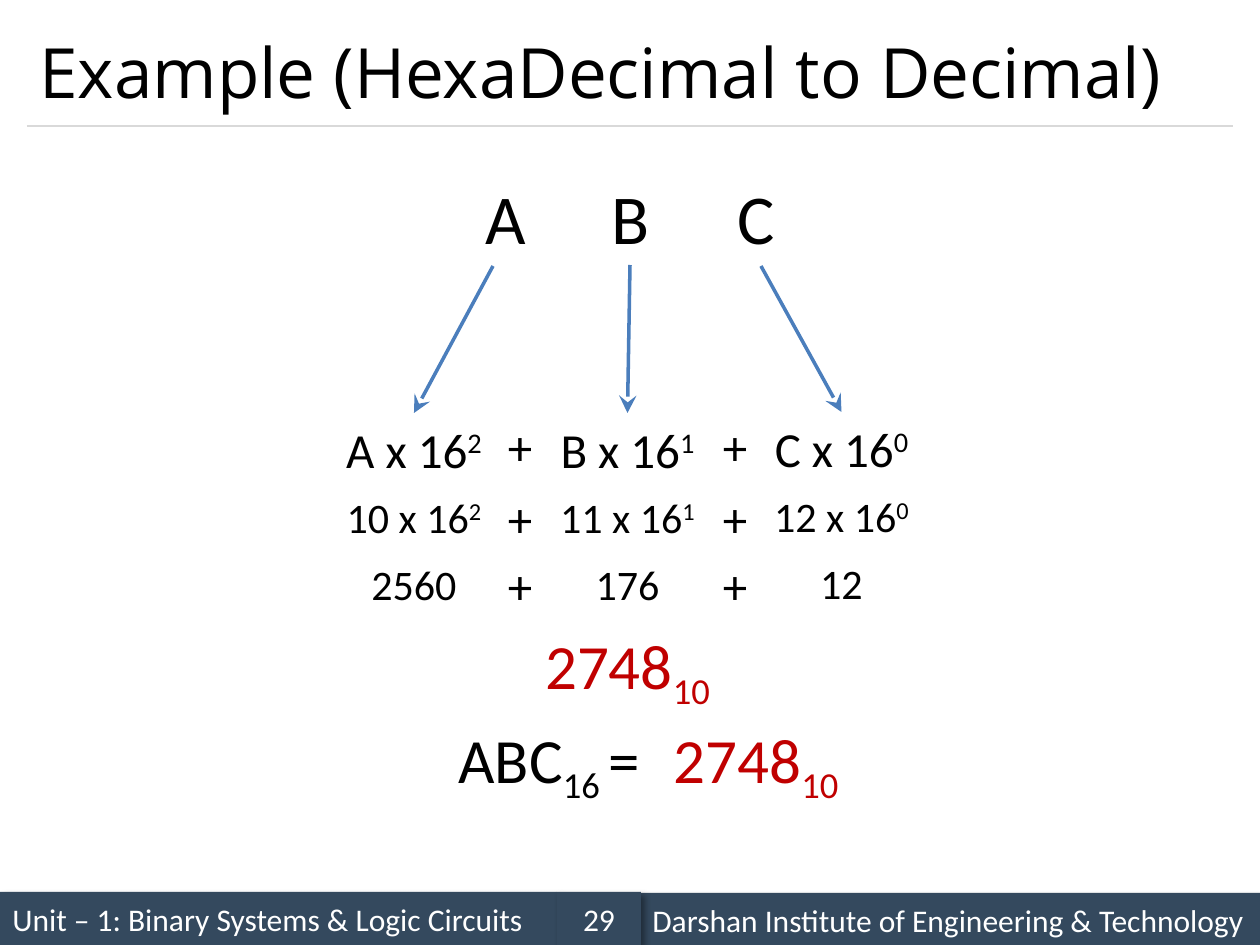
import pptx
import pptx.util
import pptx.dml.color
import pptx.enum.shapes
import pptx.enum.text
import pptx.oxml
import lxml.etree

PX = 914400 / 126
NS = "http://schemas.openxmlformats.org/drawingml/2006/main"
ALIGN = pptx.enum.text.PP_ALIGN
BLACK, RED, WHITE, NAVY = "000000", "C00000", "FFFFFF", "34495E"
color = pptx.dml.color.RGBColor.from_string


def write(shape, pieces, size, ink=BLACK, align=ALIGN.CENTER, font="Calibri"):
    frame = shape.text_frame
    frame.word_wrap = True
    line = frame.paragraphs[0]
    line.alignment = align
    for text, baseline in pieces:
        run = line.add_run()
        run.text = text
        if baseline:
            run.font._element.set("baseline", str(baseline * 1000))
    line.font.name = font
    line.font.size = pptx.util.Pt(size)
    line.font.color.rgb = color(ink)
    return shape


def emu(*lengths):
    return [round(length * PX) for length in lengths]


deck = pptx.Presentation()
deck.slide_width, deck.slide_height = emu(1260, 945)
slide = deck.slides.add_slide(deck.slide_layouts[6])
shapes = slide.shapes

footer = [
    (0, 892, 557, "Unit – 1: Binary Systems & Logic Circuits", ALIGN.LEFT),
    (640, 893, 620, "Darshan Institute of Engineering & Technology", ALIGN.LEFT),
    (557, 892, 84, "29", ALIGN.CENTER),
]
for left, top, width, text, align in footer:
    band = shapes.add_shape(pptx.enum.shapes.MSO_SHAPE.RECTANGLE, *emu(left, top, width, 53))
    band.fill.solid()
    band.fill.fore_color.rgb = color(NAVY)
    band.line.fill.background()
    band.shadow.inherit = False
    effects = band._element.spPr.find(f"{{{NS}}}effectLst")
    effects.append(pptx.oxml.parse_xml(
        f'<a:outerShdw xmlns:a="{NS}" blurRad="50800" dist="38100" dir="2700000" algn="tl" rotWithShape="0">'
        '<a:srgbClr val="000000"><a:alpha val="40000"/></a:srgbClr></a:outerShdw>'))
    band.text_frame.vertical_anchor = pptx.enum.text.MSO_ANCHOR.MIDDLE
    write(band, [(text, 0)], 18, WHITE, align)

title = shapes.add_textbox(*emu(27, 15, 1206, 111))
title.text_frame.vertical_anchor = pptx.enum.text.MSO_ANCHOR.MIDDLE
write(title, [("Example (HexaDecimal to Decimal)", 0)], 39.6, align=ALIGN.LEFT, font="Open Sans")

digits = shapes.add_textbox(*emu(27, 168, 1206, 97))
digit_format = digits.text_frame.paragraphs[0]._p.get_or_add_pPr()
digit_stops = lxml.etree.SubElement(digit_format, f"{{{NS}}}tabLst")
for stop in emu(126, 252):
    lxml.etree.SubElement(digit_stops, f"{{{NS}}}tab", pos=str(stop), algn="l")
write(digits, [("A\tB\tC", 0)], 40)

columns = [
    (329, 413, 170, "2", ["A x 16", "10 x 16", "2560"]),
    (546, 413, 163, "1", ["B x 16", "11 x 16", "176"]),
    (759, 412, 165, "0", ["C x 16", "12 x 16", "12"]),
]
rows = [(0, 72, 28), (72, 63, 24), (139, 63, 24)]
products = []
for left, top, width, power, terms in columns:
    for (offset, height, size), term in zip(rows, terms):
        pieces = [(term, 0)]
        if "x" in term:
            pieces.append((power, 30))
        term_box = shapes.add_textbox(*emu(left, top + offset, width, height))
        write(term_box, pieces, size)
        if offset == 0:
            products.append(term_box)

for offset, height, size in rows:
    for left in (494, 709):
        write(shapes.add_textbox(*emu(left, 410 + offset, 52, 72)), [("+", 0)], 28)

decimal = [("2748", 0), ("10", -25)]
write(shapes.add_textbox(*emu(525, 620, 205, 89)), decimal, 36, RED)
write(shapes.add_textbox(*emu(437, 714, 224, 89)), [("ABC", 0), ("16 ", -25), ("=", 0)], 36)
write(shapes.add_textbox(*emu(651, 714, 210, 89)), decimal, 36, RED)

strokes = [((27, 126, 1233, 126), "D9D9D9", 0.75, None)]
for start, end, product in zip((493, 630, 761), (414, 627, 841), products):
    strokes.append(((start, 266, end, 413), "4B7EBC", 2, product))
for ends, ink, weight, product in strokes:
    stroke = shapes.add_connector(pptx.enum.shapes.MSO_CONNECTOR.STRAIGHT, *emu(*ends))
    stroke.line.color.rgb = color(ink)
    stroke.line.width = pptx.util.Pt(weight)
    lxml.etree.SubElement(stroke._element.spPr, f"{{{NS}}}effectLst")
    if product is not None:
        lxml.etree.SubElement(stroke.line._get_or_add_ln(), f"{{{NS}}}tailEnd",
                              type="stealth", w="lg", len="lg")
        stroke.end_connect(product, 0)
        if product is products[1]:
            stroke.begin_connect(digits, 2)

deck.save("out.pptx")
